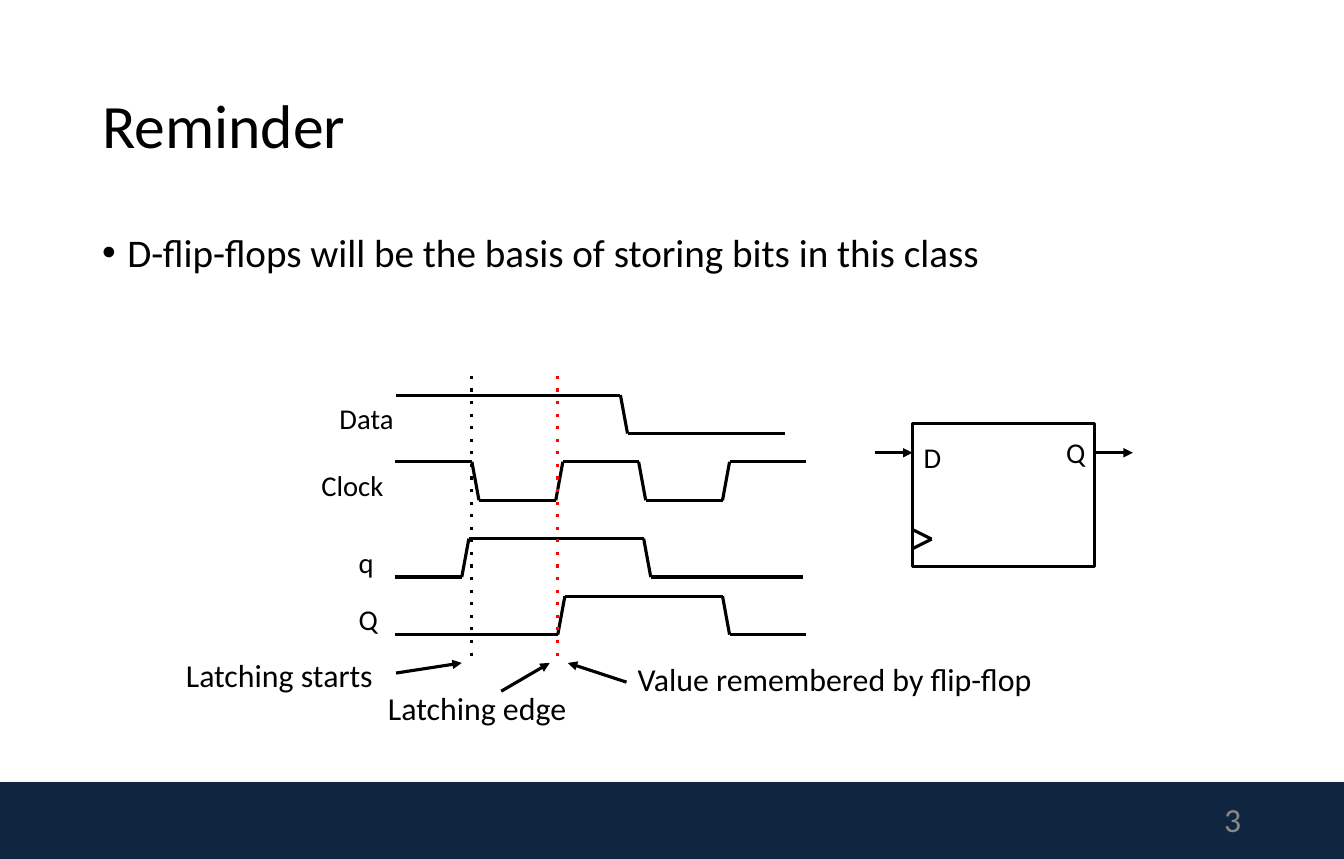
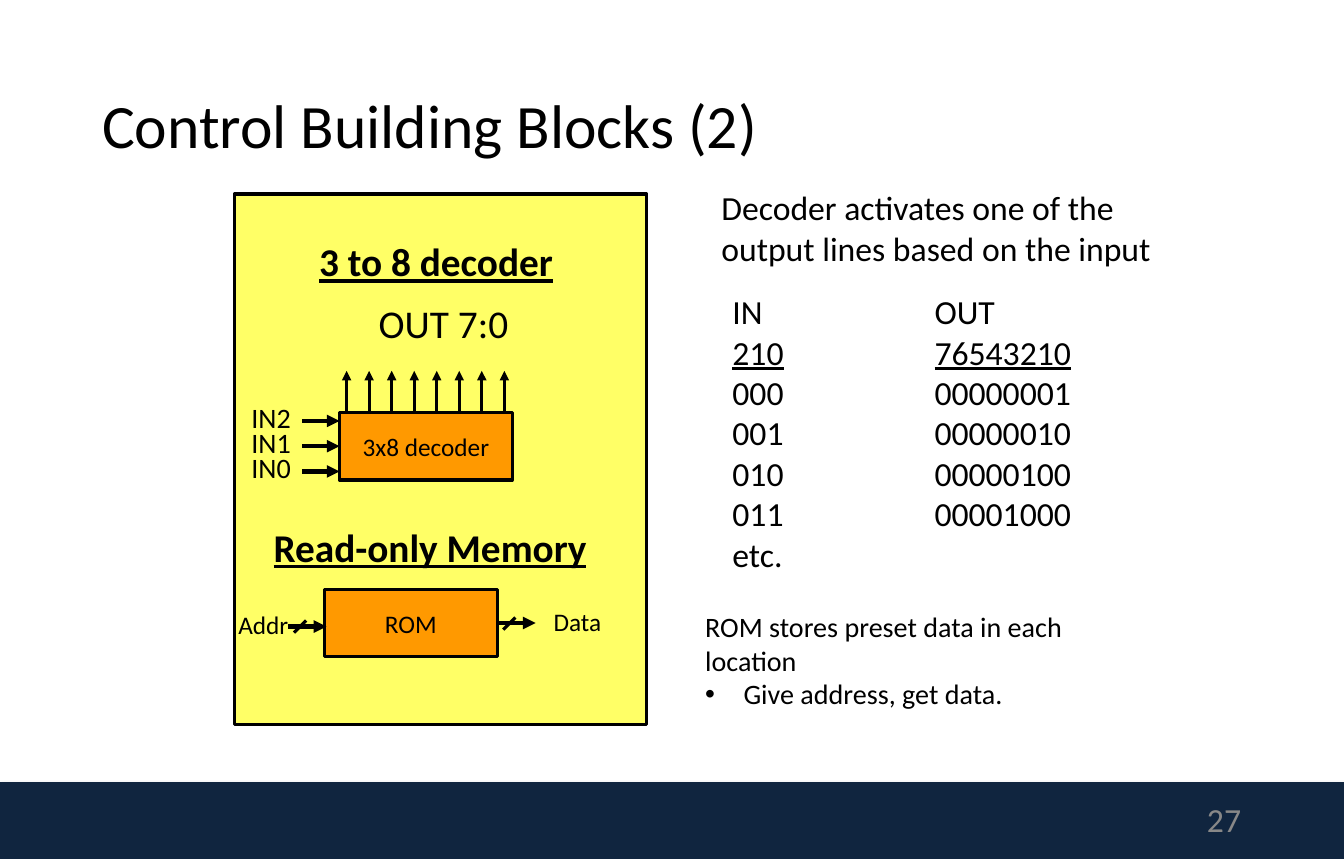
"""Builds two slides on flip-flops and control building blocks."""
from itertools import pairwise

from lxml.etree import SubElement
from pptx import Presentation
from pptx.dml.color import RGBColor
from pptx.enum.shapes import MSO_CONNECTOR as CONNECTOR, MSO_SHAPE as SHAPE
from pptx.enum.text import MSO_ANCHOR as ANCHOR, MSO_AUTO_SIZE as AUTO_SIZE, PP_ALIGN as ALIGN
from pptx.oxml.ns import qn
from pptx.util import Inches, Pt

COLUMNS, ROWS = 133, 85
CELL = Inches(0.1)
FONT = "Calibri"
COLORS = {
    "ink": "000000",
    "band": "10253F",
    "number": "888888",
    "edge": "FF0000",
    "panel": "FFFF66",
    "block": "FF9900",
    "shadow": "808080",
}
color = {name: RGBColor.from_string(value) for name, value in COLORS.items()}


def add_block(slide, box, lines=(), size=20, holder=None, fill=None, outline=None, ink="ink",
              bold=False, underlined=(), bullets=None, tab=None, align=ALIGN.LEFT,
              anchor=ANCHOR.TOP, spacing=1.0, inset=(1, 0.5)):
    """Place a rectangle, text box or placeholder on the grid and write its lines."""
    left, top, width, height = (round(value * CELL) for value in box)
    if holder:
        shape = holder
        shape.left, shape.top, shape.width, shape.height = left, top, width, height
    elif fill or outline:
        shape = slide.shapes.add_shape(SHAPE.RECTANGLE, left, top, width, height)
        shape.shadow.inherit = False
        shape.fill.background()
        shape.line.fill.background()
        if fill:
            shape.fill.solid()
            shape.fill.fore_color.rgb = color[fill]
        if outline:
            shape.line.color.rgb = color[outline]
            shape.line.width = Pt(2.25)
    else:
        shape = slide.shapes.add_textbox(left, top, width, height)
    frame = shape.text_frame
    frame.word_wrap = True
    frame.auto_size = AUTO_SIZE.NONE
    frame.vertical_anchor = anchor
    frame.margin_left = frame.margin_right = round(inset[0] * CELL)
    frame.margin_top = frame.margin_bottom = round(inset[1] * CELL)
    for index, text in enumerate(lines):
        paragraph = frame.add_paragraph() if index else frame.paragraphs[0]
        properties = paragraph._p.get_or_add_pPr()
        if bullets and index in bullets:
            indent = round(bullets[index] * CELL)
            properties.set("marL", str(indent))
            properties.set("indent", str(-indent))
            bullet_color = SubElement(properties, qn("a:buClr"))
            SubElement(bullet_color, qn("a:srgbClr"), val=COLORS[ink])
            SubElement(properties, qn("a:buFont"), typeface="Arial")
            SubElement(properties, qn("a:buChar"), char="•")
        if tab:
            tabs = SubElement(properties, qn("a:tabLst"))
            SubElement(tabs, qn("a:tab"), pos=str(round(tab * CELL)), algn="l")
        paragraph.alignment = align
        paragraph.line_spacing = spacing
        paragraph.space_before = Pt(0)
        run = paragraph.add_run()
        run.text = text
        run.font.name = FONT
        run.font.size = Pt(size)
        run.font.bold = bold
        run.font.underline = index in underlined
        run.font.color.rgb = color[ink]
    return shape


def add_line(slide, start, end, ink="ink", width=2.25, dotted=False, arrow=False):
    """Draw a straight line between two grid points, with an optional arrowhead at its end."""
    points = [round(value * CELL) for value in (*start, *end)]
    connector = slide.shapes.add_connector(CONNECTOR.STRAIGHT, *points)
    connector.line.color.rgb = color[ink]
    connector.line.width = Pt(width)
    outline = connector.line._get_or_add_ln()
    if dotted:
        SubElement(outline, qn("a:prstDash"), val="dot")
    if arrow:
        SubElement(outline, qn("a:tailEnd"), type="triangle")
    SubElement(connector._element.spPr, qn("a:effectLst"))
    return connector


presentation = Presentation()
presentation.slide_width = COLUMNS * CELL
presentation.slide_height = ROWS * CELL

slides = []
for layout, title, number in ((1, "Reminder", "3"), (5, "Control Building Blocks (2)", "27")):
    slide = presentation.slides.add_slide(presentation.slide_layouts[layout])
    band = add_block(slide, (0, 77.4, COLUMNS, 7.6), fill="band")
    shadow = SubElement(band._element.spPr.find(qn("a:effectLst")), qn("a:outerShdw"),
                        blurRad=str(Pt(3.1)), dist=str(Pt(1.8)), dir="5400000", rotWithShape="0")
    shade = SubElement(shadow, qn("a:srgbClr"), val=COLORS["shadow"])
    SubElement(shade, qn("a:alpha"), val="35000")
    add_block(slide, (9.1, 4.5, 114.7, 16.4), [title], 43.9, holder=slide.shapes.title,
              anchor=ANCHOR.MIDDLE, spacing=0.9)
    add_block(slide, (93.9, 78.8, 29.9, 4.5), [number], 24, ink="number",
              align=ALIGN.RIGHT, anchor=ANCHOR.MIDDLE)
    slides.append(slide)
reminder, blocks = slides

add_block(reminder, (9.1, 22.6, 114.7, 53.9),
          ["D-flip-flops will be the basis of storing bits in this class"], 27.9,
          holder=reminder.placeholders[1], bullets={0: 2.5}, spacing=0.9)

add_block(reminder, (90.3, 41.9, 18, 14.2), outline="ink")
for pin, left, top in (("D", 90.3, 42.9), ("Q", 104.4, 42.4)):
    add_block(reminder, (left, top, 5, 4.6), [pin], 20.4, inset=(1.1, 0.6))
for clock_row in (52.4, 54.3):
    add_line(reminder, (90.3, clock_row), (92.2, 53.35))
for pin_column in (86.6, 108.4):
    add_line(reminder, (pin_column, 44.8), (pin_column + 3.7, 44.8), arrow=True)

SWING, RAMP = 3.8, 0.7
waves = [
    ("Data", 32.5, 39.1, True, 39.2, [61.4], 77.7),
    ("Clock", 30.7, 45.7, True, 39.1, [46.7, 55, 63.2, 71.5], 79.8),
    ("q", 34.4, 53.3, False, 39.1, [45.7, 63.7], 79.5),
    ("Q", 34.4, 59, False, 39.1, [55.2, 71.5], 79.8),
]
for name, label_left, top, high, start, edges, end in waves:
    level = top if high else top + SWING
    points = [(start, level)]
    for edge in edges:
        points.append((edge, level))
        level = 2 * top + SWING - level
        points.append((edge + RAMP, level))
    points.append((end, level))
    for first, second in pairwise(points):
        add_line(reminder, first, second)
    add_block(reminder, (label_left, top, 9, 4.6), [name], 20.4, inset=(1.1, 0.6))

for marker, ink in ((46.7, "ink"), (55.2, "edge")):
    add_line(reminder, (marker, 37.2), (marker, 65.6), ink, dotted=True)

notes = [
    ("Latching starts", (17.3, 64.3, 22, 5), (39.2, 66.6), (45.7, 65.6)),
    ("Value remembered by flip-flop", (62, 64.7, 50.2, 5), (62, 67.5), (56.2, 65.6)),
    ("Latching edge", (37.3, 67.5, 21, 5), (49.6, 68.4), (54.4, 65.6)),
]
for text, box, start, end in notes:
    add_line(reminder, start, end, arrow=True)
    add_block(reminder, box, [text], 22.7, inset=(1.1, 0.6))

add_block(blocks, (23.2, 19.2, 40.8, 52.5), fill="panel", outline="ink")
for heading, left, top in (("3 to 8 decoder", 30.6, 23), ("Read-only Memory", 26.1, 51.3)):
    add_block(blocks, (left, top, 35, 5.7), [heading], 28, bold=True, underlined=[0])
add_block(blocks, (36.5, 29.1, 16, 5.7), ["OUT 7:0"], 28)
decoder, rom = [
    add_block(blocks, (left, top, 17.1, 6.7), [name], 18, fill="block", outline="ink",
              align=ALIGN.CENTER, anchor=ANCHOR.MIDDLE)
    for name, left, top in (("3x8 decoder", 33.6, 40.8), ("ROM", 32.1, 58.3))
]

for index, name in enumerate(("IN2", "IN1", "IN0")):
    row = 41.65 + 2.5 * index
    arrow = add_line(blocks, (29.9, row), (33.6, row), width=3, arrow=True)
    if name == "IN1":
        arrow.end_connect(decoder, 1)
    add_block(blocks, (23.9, row - 2.55, 7, 4.4), [name])
for index in range(8):
    column = 34.3 + 2.23 * index
    add_line(blocks, (column, 40.8), (column, 36.7), arrow=True)

add_line(blocks, (28.5, 62), (32.3, 62), width=3, arrow=True)
data_arrow = add_line(blocks, (49.2, 61.65), (53, 61.65), width=3, arrow=True)
data_arrow.begin_connect(rom, 3)
for name, left, top, slash, row in (("Addr", 22.6, 59.8, 29.1, 62), ("Data", 53.8, 59.5, 49.8, 61.7)):
    add_block(blocks, (left, top, 8, 4), [name], 18)
    add_line(blocks, (slash, row + 0.6), (slash + 1.2, row - 0.6))

add_block(blocks, (70.4, 18, 46, 9.1),
          ["Decoder activates one of the", "output lines based on the input"], 24)
truth_table = [("IN", "OUT"), ("210", "76543210"), ("000", "00000001"), ("001", "00000010"),
               ("010", "00000100"), ("011", "00001000"), ("etc.",)]
add_block(blocks, (71.5, 28.3, 37, 29.3), ["\t".join(row) for row in truth_table], 24,
          underlined=[1], tab=20)
add_block(blocks, (68.8, 59.8, 41.7, 11.1),
          ["ROM stores preset data in each location", "Give address, get data."],
          bullets={1: 3.8})

presentation.save("out.pptx")
